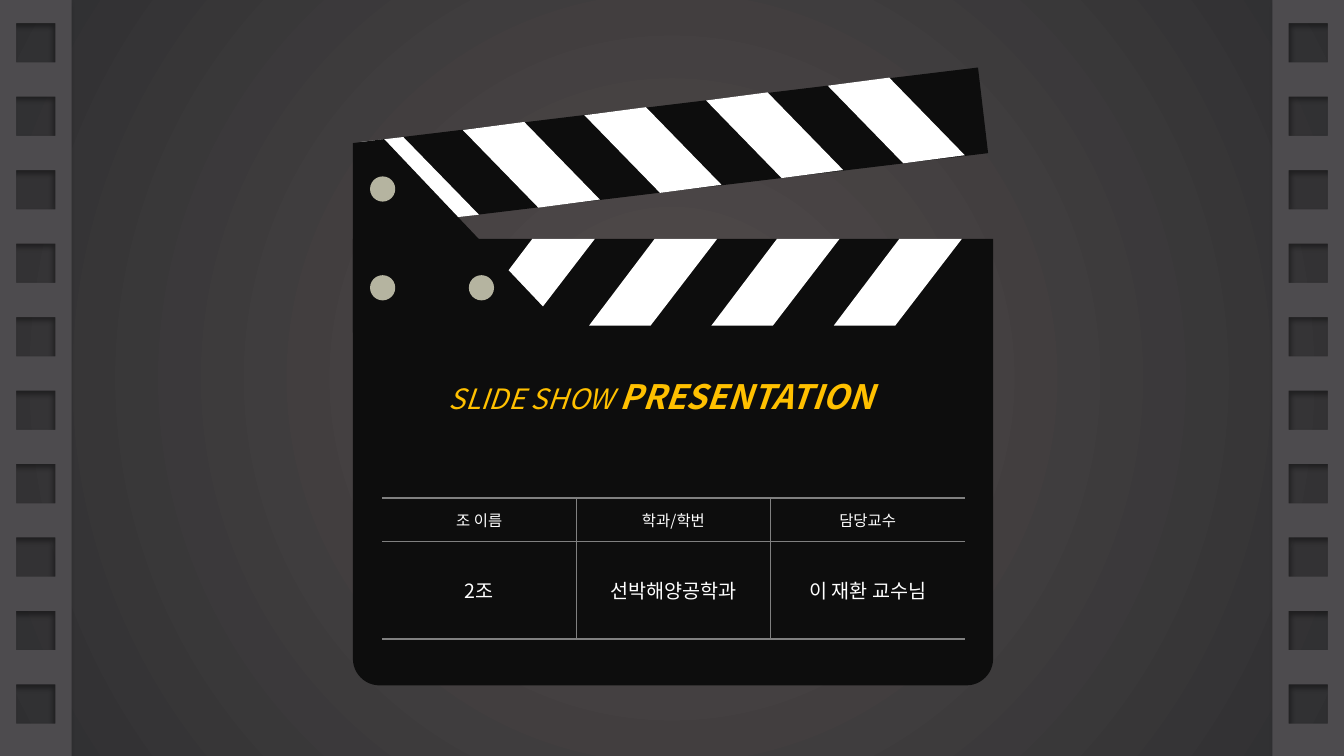
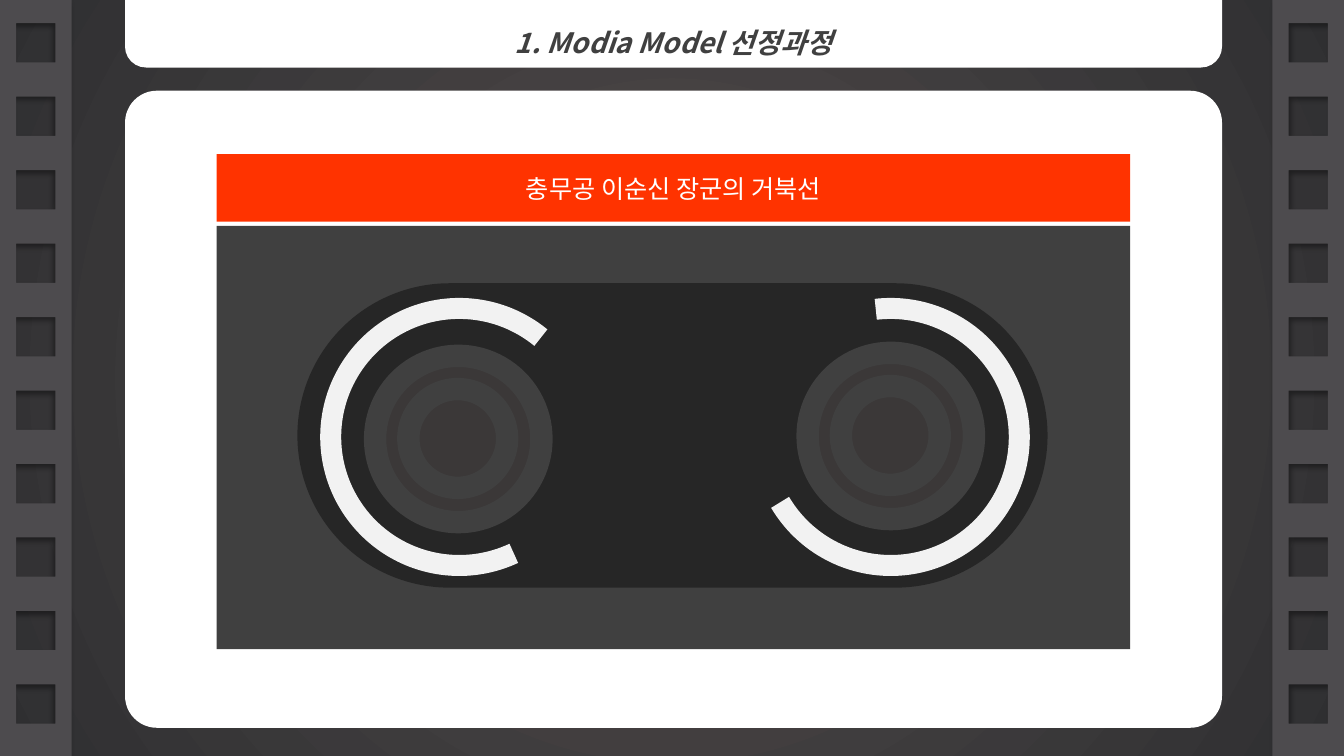
import pptx
import pptx.dml.color
import pptx.enum.shapes
import pptx.enum.text
import pptx.oxml.ns
import pptx.util
from lxml import etree

Inches = pptx.util.Inches
Pt = pptx.util.Pt
RGBColor = pptx.dml.color.RGBColor
SHAPE = pptx.enum.shapes.MSO_SHAPE
ANCHOR = pptx.enum.text.MSO_ANCHOR
qn = pptx.oxml.ns.qn

FONT = "Noto Sans CJK KR"
GLOW = RGBColor(0x52, 0x4C, 0x4C)
NIGHT = RGBColor(0x2F, 0x2F, 0x31)
FILM = RGBColor(0x4D, 0x4B, 0x4E)
BLACK = RGBColor(0x0D, 0x0D, 0x0D)
WHITE = RGBColor(0xFF, 0xFF, 0xFF)
RIVET = RGBColor(0xB5, 0xB4, 0xA0)
GOLD = RGBColor(0xFF, 0xC0, 0x00)
RULE = RGBColor(0x80, 0x80, 0x80)
CASSETTE = RGBColor(0x40, 0x40, 0x40)
WINDOW = RGBColor(0x26, 0x26, 0x26)
REEL = RGBColor(0x3B, 0x38, 0x38)
LABEL = RGBColor(0xFF, 0x33, 0x00)
TAPE = RGBColor(0xF2, 0xF2, 0xF2)


class Deck:
    """Holds the film style and the current slide."""

    def __init__(self):
        self.presentation = pptx.Presentation()
        self.presentation.slide_width = Inches(13.33)
        self.presentation.slide_height = Inches(7.5)
        self.slide = None
        self.paint_background()

    def paint_background(self):
        master = self.presentation.slide_master
        fill = master.background.fill
        fill.gradient()
        for stop, color in zip(fill.gradient_stops, (GLOW, NIGHT)):
            stop.color.rgb = color
        gradient = master.element.find(".//" + qn("p:bgPr") + "/" + qn("a:gradFill"))
        circle = etree.Element(qn("a:path"), {"path": "circle"})
        center = dict.fromkeys("ltrb", "50000")
        etree.SubElement(circle, qn("a:fillToRect"), center)
        gradient.replace(gradient.find(qn("a:lin")), circle)

    def new_slide(self):
        layout = self.presentation.slide_layouts[5]
        self.slide = self.presentation.slides.add_slide(layout)
        self.film_strip(0, 135)
        self.film_strip(12.62, 45)

    def finish(self, shape, fill=None, line=None, width=1):
        if fill is None:
            shape.fill.background()
        else:
            shape.fill.solid()
            shape.fill.fore_color.rgb = fill
        if line is None:
            shape.line.fill.background()
        else:
            shape.line.color.rgb = line
            shape.line.width = Pt(width)
        shape.shadow.inherit = False
        return shape

    def shape(self, kind, box, fill=None, adjustments=(), **outline):
        shape = self.slide.shapes.add_shape(kind, *map(Inches, box))
        for index, value in enumerate(adjustments):
            shape.adjustments[index] = value
        return self.finish(shape, fill, **outline)

    def outline(self, fill, *contours):
        """Draw closed contours as one freeform; inner ones become holes."""
        builder = None
        for contour in contours:
            (x, y), *others = [(Inches(x), Inches(y)) for x, y in contour]
            if builder is None:
                builder = self.slide.shapes.build_freeform(x, y)
            else:
                builder.move_to(x, y)
            builder.add_line_segments(others, close=True)
        return self.finish(builder.convert_to_shape(), fill)

    def film_strip(self, left, shadow_angle):
        def rectangle(x, y, width, height):
            return [(x, y), (x + width, y), (x + width, y + height), (x, y + height)]

        holes = [rectangle(left + 0.16, 0.23 + 6.56 * row / 9, 0.39, 0.39)
                 for row in range(10)]
        strip = self.outline(FILM, *holes, rectangle(left, 0, 0.71, 7.5))
        effects = strip.element.spPr.find(qn("a:effectLst"))
        shadow = etree.SubElement(
            effects, qn("a:outerShdw"), blurRad=str(Pt(4)), dist=str(Pt(3)),
            dir=str(shadow_angle * 60000), rotWithShape="0")
        color = etree.SubElement(shadow, qn("a:srgbClr"), val="000000")
        etree.SubElement(color, qn("a:alpha"), val="40000")

    def set_text(self, frame, runs, anchor=ANCHOR.MIDDLE, spacing=1.0):
        frame.word_wrap = True
        frame.vertical_anchor = anchor
        paragraph = frame.paragraphs[0]
        paragraph.alignment = pptx.enum.text.PP_ALIGN.CENTER
        paragraph.line_spacing = spacing
        for text, color, values in runs:
            run = paragraph.add_run()
            run.text = text
            run.font.color.rgb = color
            for name, value in {"name": FONT, "bold": False, **values}.items():
                setattr(run.font, name, value)
            etree.SubElement(run._r.get_or_add_rPr(), qn("a:ea"), typeface=FONT)

    def title(self, box, runs, anchor):
        title = self.slide.shapes.title
        for name, value in zip(("left", "top", "width", "height"), box):
            setattr(title, name, Inches(value))
        title.text_frame.auto_size = pptx.enum.text.MSO_AUTO_SIZE.NONE
        self.set_text(title.text_frame, runs, anchor, spacing=1.5)
        # Bring the title in front of the artwork
        title.element.getparent().append(title.element)

    def table(self, box, heights, rows, sizes):
        columns = len(rows[0])
        frame = self.slide.shapes.add_table(len(rows), columns, *map(Inches, box))
        table = frame.table
        table.first_row = table.horz_banding = False
        for row, (height, texts, size) in enumerate(zip(heights, rows, sizes)):
            table.rows[row].height = Inches(height)
            for column, text in enumerate(texts):
                cell = table.cell(row, column)
                cell.fill.solid()
                cell.fill.fore_color.rgb = BLACK
                self.set_text(cell.text_frame, [(text, WHITE, {"size": Pt(size)})])
                cell.vertical_anchor = ANCHOR.MIDDLE
                self.borders(cell, {"L": column > 0, "R": column < columns - 1,
                                    "T": True, "B": True})

    def borders(self, cell, sides):
        properties = cell._tc.get_or_add_tcPr()
        for index, (side, visible) in enumerate(sides.items()):
            line = etree.Element(qn("a:ln" + side), w=str(Pt(1)))
            if visible:
                fill = etree.SubElement(line, qn("a:solidFill"))
                etree.SubElement(fill, qn("a:srgbClr"), val=str(RULE))
            else:
                etree.SubElement(line, qn("a:noFill"))
            properties.insert(index, line)


def build_cover(deck):
    deck.new_slide()

    # Clapperboard body and its stripes
    deck.shape(SHAPE.ROUND_2_SAME_RECTANGLE, (3.5, 2.37, 6.35, 4.43), BLACK, (0, 0.06))
    for index in range(4):
        left = 4.63 + 3.64 * index / 3
        deck.outline(WHITE, [(left, 3.23), (left + 0.65, 2.37),
                             (left + 1.27, 2.37), (left + 0.61, 3.23)])

    # Raised arm and its stripes
    deck.outline(BLACK, [(3.99, 1.36), (9.7, 0.67), (9.8, 1.52), (4.74, 2.13)])
    deck.outline(WHITE, [(4, 1.36), (3.57, 1.41), (4.14, 2.2), (4.75, 2.13)])
    for index in range(4):
        left, top = 4.59 + 3.62 * index / 3, 1.29 - 0.44 * index / 3
        deck.outline(WHITE, [(left, top), (left + 0.61, top - 0.08),
                             (left + 1.36, top + 0.69), (left + 0.75, top + 0.77)])

    # Hinge and rivets
    deck.outline(BLACK, [(5.63, 3.3), (3.5, 3.3), (3.5, 1.42), (3.81, 1.38)])
    for left, top in ((3.67, 1.75), (3.67, 2.73), (4.65, 2.73)):
        deck.shape(SHAPE.OVAL, (left, top, 0.25, 0.25), RIVET)

    # Title and team details
    deck.title((3.41, 3.48, 6.3, 0.71), [
        ("SLIDE SHOW ", GOLD, {"size": Pt(20), "italic": True}),
        ("PRESENTATION", GOLD, {"size": Pt(24), "italic": True, "bold": True}),
    ], ANCHOR.TOP)
    deck.table((3.79, 4.94, 5.78, 1.4), (0.43, 0.97), [
        ("조 이름", "학과/학번", "담당교수"),
        ("2조", "선박해양공학과", "이 재환 교수님"),
    ], sizes=(11, 14))


def build_model_choice(deck):
    deck.new_slide()

    # Content panel and title band
    title_box = (1.24, 0, 10.88, 0.67)
    deck.shape(SHAPE.ROUNDED_RECTANGLE, (1.24, 0.9, 10.88, 6.32), WHITE, (0.05,))
    deck.shape(SHAPE.ROUND_2_SAME_RECTANGLE, title_box, WHITE, (0, 0.31))

    # Cassette
    deck.shape(SHAPE.RECTANGLE, (2.15, 2.24, 9.06, 4.2), CASSETTE)
    deck.shape(SHAPE.ROUNDED_RECTANGLE, (2.95, 2.81, 7.44, 3.02), WINDOW, (0.5,))
    label = deck.shape(SHAPE.RECTANGLE, (2.15, 1.53, 9.06, 0.67), LABEL)
    deck.set_text(label.text_frame,
                  [("충무공 이순신 장군의 거북선", WHITE, {"size": Pt(18)})])

    # Reels, each with tape running from one angle to the other
    reels = ((8.01, 3.5, 7.56, 263.3, 149.4), (3.72, 3.53, 3.28, 64.9, 309.4))
    for left, top, tape_left, start, end in reels:
        for inset, size in ((0, 1.65), (0.33, 0.98)):
            deck.shape(SHAPE.OVAL, (left + inset, top + inset, size, size), REEL,
                       line=CASSETTE, width=16)
        deck.shape(SHAPE.ARC, (tape_left, 3.06, 2.55, 2.55),
                   adjustments=(start * 0.6, end * 0.6), line=TAPE, width=15)

    deck.title(title_box, [
        ("1. Modia Model 선정과정", CASSETTE,
         {"size": Pt(20), "bold": True, "italic": True}),
    ], ANCHOR.MIDDLE)


def main():
    deck = Deck()
    build_cover(deck)
    build_model_choice(deck)
    deck.presentation.save("out.pptx")


if __name__ == "__main__":
    main()
